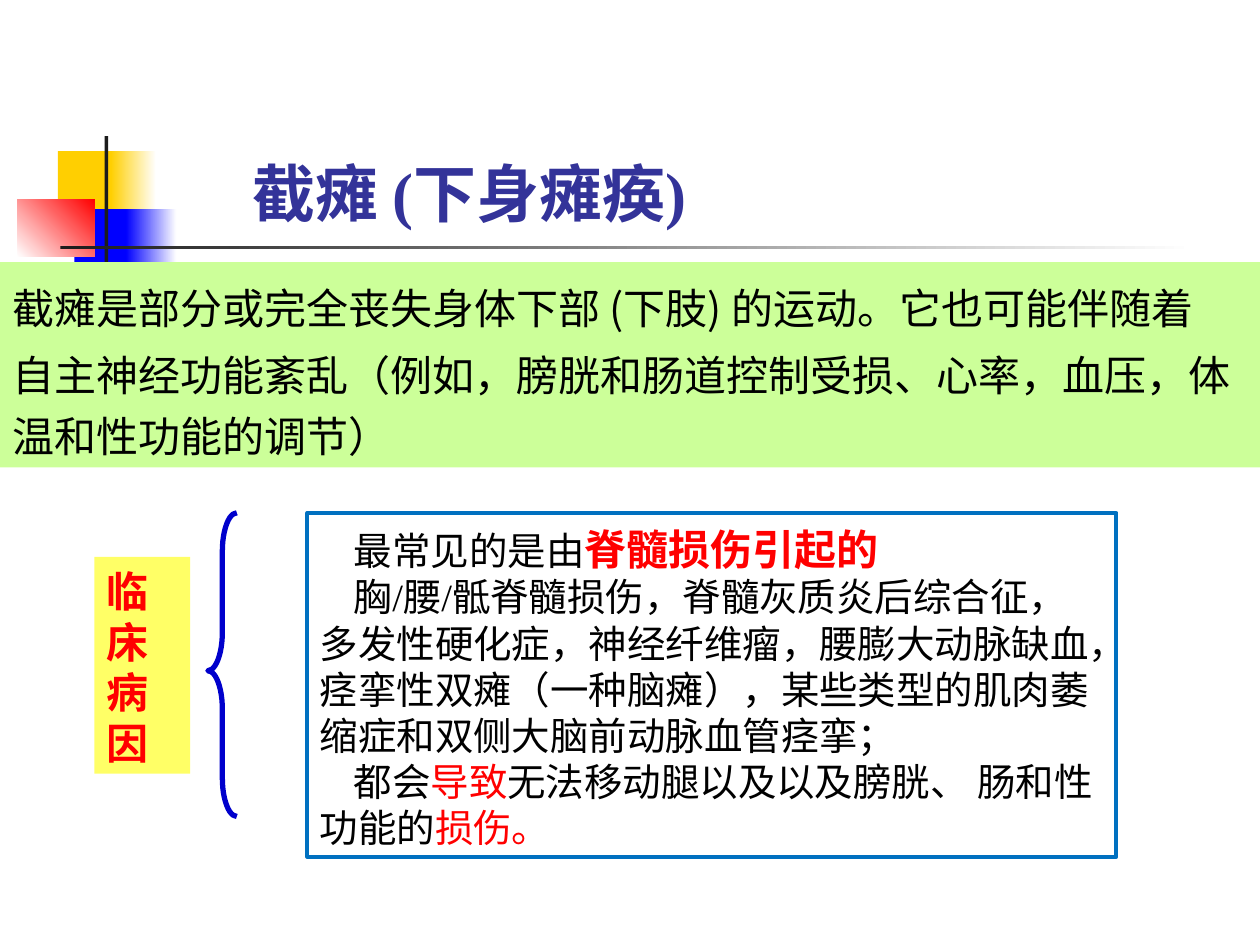
from pptx import Presentation
from pptx.dml.color import RGBColor
from pptx.enum.shapes import MSO_SHAPE
from pptx.enum.text import MSO_ANCHOR, MSO_AUTO_SIZE, PP_ALIGN
from pptx.oxml.ns import qn
from pptx.util import Inches, Pt
from lxml import etree

RECTANGLE = MSO_SHAPE.RECTANGLE
LEFT_BRACE = MSO_SHAPE.LEFT_BRACE
BOTTOM = MSO_ANCHOR.BOTTOM
LEFT = PP_ALIGN.LEFT
NO_AUTOFIT = MSO_AUTO_SIZE.NONE

WHITE = RGBColor(0xFF, 0xFF, 0xFF)
BLACK = RGBColor(0x00, 0x00, 0x00)
CHARCOAL = RGBColor(0x1C, 0x1C, 0x1C)
GOLD = RGBColor(0xFF, 0xCF, 0x01)
BLUE = RGBColor(0x00, 0x00, 0xFF)
RED = RGBColor(0xFF, 0x00, 0x00)
INDIGO = RGBColor(0x33, 0x33, 0x99)
PALE_GREEN = RGBColor(0xCC, 0xFF, 0x99)
PALE_YELLOW = RGBColor(0xFF, 0xFF, 0x66)
BRACE_BLUE = RGBColor(0x00, 0x00, 0xCC)
FRAME_BLUE = RGBColor(0x00, 0x70, 0xC0)

HAN_FONT = "Noto Sans CJK SC"
LATIN_FONT = "Times New Roman"
WIDTH, HEIGHT = 10, 7.5
CAUSES_TOP = 4.07
FIRST_LINE_INDENT = Inches(0.27)

DEFINITION = [
    "截瘫是部分或完全丧失身体下部 (下肢) 的运动。它也可能伴随着",
    "自主神经功能紊乱（例如，膀胱和肠道控制受损、心率，血压，体温和性功能的调节）",
]
CAUSES = [
    [("最常见的是由", 22, BLACK, False), ("脊髓损伤引起的", 24, RED, True)],
    [("胸/腰/骶脊髓损伤，脊髓灰质炎后综合征，多发性硬化症，神经纤维瘤，"
      "腰膨大动脉缺血，痉挛性双瘫（一种脑瘫），某些类型的肌肉萎缩症和"
      "双侧大脑前动脉血管痉挛；", 22, BLACK, False)],
    [("都会", 22, BLACK, False), ("导致", 22, RED, False),
     ("无法移动腿以及以及膀胱、 肠和性功能的", 22, BLACK, False),
     ("损伤。", 22, RED, False)],
]


def place(shape, left, top, width, height):
    shape.left, shape.top = Inches(left), Inches(top)
    shape.width, shape.height = Inches(width), Inches(height)


def add_block(slide, box, fill=None, fade_to=None, angle=0,
              outline=None, weight=0, preset=RECTANGLE):
    block = slide.shapes.add_shape(preset, *map(Inches, box))
    block.shadow.inherit = False
    if fade_to is not None:
        block.fill.gradient()
        block.fill.gradient_angle = angle
        for stop, color in zip(block.fill.gradient_stops, (fill, fade_to)):
            stop.color.rgb = color
        for stop, position in zip(block.fill.gradient_stops, (0, 1)):
            stop.position = position
    elif fill is not None:
        block.fill.solid()
        block.fill.fore_color.rgb = fill
    else:
        block.fill.background()
    if outline is None:
        block.line.fill.background()
    else:
        block.line.color.rgb = outline
        block.line.width = Pt(weight)
    return block


def add_run(paragraph, text, size, color, bold=False, latin=LATIN_FONT):
    run = paragraph.add_run()
    run.text = text
    run.font.size = Pt(size)
    run.font.bold = bold
    run.font.color.rgb = color
    run.font.name = latin
    han = etree.SubElement(run.font._element, qn("a:ea"))
    han.set("typeface", HAN_FONT)


def write_paragraphs(shape, paragraphs, spacing=None, gap=0, indent=0,
                     latin=LATIN_FONT):
    frame = shape.text_frame
    frame.word_wrap = True
    frame.auto_size = NO_AUTOFIT
    frame.vertical_anchor = BOTTOM
    for index, runs in enumerate(paragraphs):
        paragraph = frame.add_paragraph() if index else frame.paragraphs[0]
        paragraph.alignment = LEFT
        if spacing:
            largest = max(size for _, size, _, _ in runs)
            paragraph.line_spacing = Pt(round(largest * spacing, 1))
        if index and gap:
            paragraph.space_before = Pt(gap)
        if indent:
            paragraph._p.get_or_add_pPr().set("indent", str(indent))
        for text, size, color, bold in runs:
            add_run(paragraph, text, size, color, bold, latin)


def add_ornament(slide):
    for left, split, right, top, color in (
        (0.46, 0.88, 1.24, 1.2, GOLD),
        (0.59, 1.0, 1.4, 1.66, BLUE),
    ):
        add_block(slide, (left, top, split - left + 0.05, 0.52), color)
        add_block(slide, (split, top, right - split, 0.52), color, WHITE)
    add_block(slide, (0.14, 1.58, 0.61, 0.46), WHITE, RED, 45)
    add_block(slide, (0.83, 1.08, 0.03, 1.15), CHARCOAL)
    add_block(slide, (0.48, 1.95, 0.9 * WIDTH, 0.03), CHARCOAL, WHITE)


def add_title(slide):
    title = slide.shapes.title
    place(title, 1.9, 0.25, 4.32, 1.63)
    write_paragraphs(title, [[("截瘫 (下身瘫痪)", 36, INDIGO, True)]])


def add_definition(slide):
    panel = add_block(slide, (0, 2.08, WIDTH, 1.63), PALE_GREEN)
    lines = [[(text, 24, BLACK, False)] for text in DEFINITION]
    write_paragraphs(panel, lines, spacing=1.45, gap=4, latin=HAN_FONT)


def add_causes(slide):
    label = add_block(slide, (0.75, 4.42, 0.76, 1.72), PALE_YELLOW)
    write_paragraphs(label, [[("临床病因", 24, RED, True)]], spacing=1.2)
    brace = add_block(slide, (1.65, CAUSES_TOP, 0.23, 2.41),
                      outline=BRACE_BLUE, weight=3, preset=LEFT_BRACE)
    brace.adjustments[0] = 1.33
    brace.adjustments[1] = 0.52
    details = add_block(slide, (2.44, CAUSES_TOP, 6.42, 2.73),
                        outline=FRAME_BLUE, weight=2.25)
    write_paragraphs(details, CAUSES, spacing=1.2, indent=FIRST_LINE_INDENT)


def main():
    deck = Presentation()
    deck.slide_width, deck.slide_height = Inches(WIDTH), Inches(HEIGHT)
    slide = deck.slides.add_slide(deck.slide_layouts[5])
    add_ornament(slide)
    add_title(slide)
    add_definition(slide)
    add_causes(slide)
    deck.save("out.pptx")


if __name__ == "__main__":
    main()
